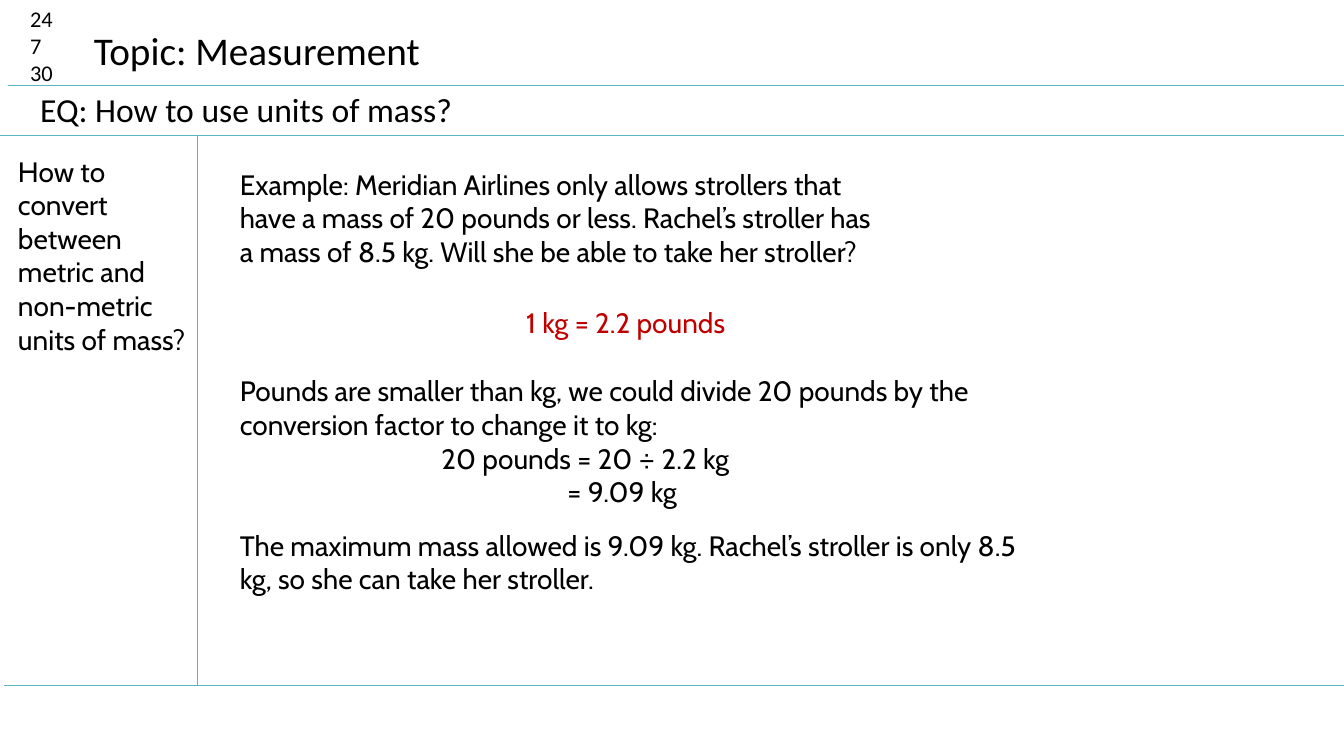
from pptx import Presentation
from pptx.util import Inches, Pt
from pptx.dml.color import RGBColor
from pptx.enum.shapes import MSO_CONNECTOR as Conn
from pptx.enum.text import MSO_ANCHOR as Anchor, MSO_AUTO_SIZE as Fit, PP_ALIGN as Align
from lxml.etree import SubElement
from pptx.oxml.ns import qn

BLACK = RGBColor(0, 0, 0)
RED = RGBColor(0xC0, 0, 0)
TEAL = RGBColor(0x58, 0xB6, 0xC0)

WIDE, HIGH = 13.33, 7.5
TOP, MID, BASE, SPLIT = 0.85, 1.34, 6.8, 1.96
LEFT = 2.28

TITLE = ("Topic: Measurement", (0.83, 0.21, 3.47, 0.57))

HEADS = [
    (["24", "7", "30"], (0.2, 0, 0.63, 0.91), 16),
    (["EQ: How to use units of mass?"], (0.3, 0.83, 11.64, 0.5), 24),
]

NOTES = [
    (["How to convert between metric and non-metric units of mass?"],
     (0.08, 1.48, 1.98, 2.12), BLACK),
    (["Example: Meridian Airlines only allows strollers that have a mass of "
      "20 pounds or less. Rachel’s stroller has a mass of 8.5 kg. "
      "Will she be able to take her stroller?"],
     (LEFT, 1.61, 6.55, 1.11), BLACK),
    (["1 kg = 2.2 pounds"], (5.12, 2.98, 5.25, 0.44), RED),
    (["Pounds are smaller than kg, we could divide 20 pounds by the "
      "conversion factor to change it to kg:",
      "20 pounds = 20 ÷ 2.2 kg",
      "= 9.09 kg"],
     (LEFT, 3.66, 8.08, 1.45), BLACK),
    (["The maximum mass allowed is 9.09 kg. Rachel’s stroller is only "
      "8.5 kg, so she can take her stroller."],
     (LEFT, 5.19, 8.08, 0.77), BLACK),
]

INDENTS = {"20 pounds = 20 ÷ 2.2 kg": 2, "= 9.09 kg": 3.25}

RULES = [
    (0.08, TOP, WIDE, TOP),
    (0, MID, WIDE, MID),
    (0.04, BASE, WIDE, BASE),
    (SPLIT, MID, SPLIT, BASE),
]


def write(frame, lines, size, face, color):
    frame.text = "\n".join(lines)
    frame.auto_size = Fit.NONE
    frame.vertical_anchor = Anchor.TOP
    for para in frame.paragraphs:
        para.alignment = Align.LEFT
        if para.text in INDENTS:
            props = para._p.get_or_add_pPr()
            props.set("marL", str(Inches(INDENTS[para.text])))
        for run in para.runs:
            run.font.size = Pt(size)
            run.font.name = face
            run.font.color.rgb = color


def add_text(slide, lines, place, size, face, color):
    box = slide.shapes.add_textbox(*map(Inches, place))
    box.text_frame.word_wrap = True
    write(box.text_frame, lines, size, face, color)


def add_rule(slide, ends):
    rule = slide.shapes.add_connector(Conn.STRAIGHT, *map(Inches, ends))
    rule.line.color.rgb = TEAL
    rule.line.width = Pt(0.75)
    SubElement(rule._element.spPr, qn("a:effectLst"))


def main():
    deck = Presentation()
    deck.slide_width, deck.slide_height = Inches(WIDE), Inches(HIGH)
    slide = deck.slides.add_slide(deck.slide_layouts[5])

    for ends in RULES:
        add_rule(slide, ends)

    text, place = TITLE
    title = slide.shapes.title
    title.left, title.top, title.width, title.height = map(Inches, place)
    write(title.text_frame, [text], 28, "Calibri", BLACK)
    title.text_frame.word_wrap = False

    for lines, place, size in HEADS:
        add_text(slide, lines, place, size, "Calibri", BLACK)
    for lines, place, color in NOTES:
        add_text(slide, lines, place, 20, "Cabin", color)

    deck.save("out.pptx")


if __name__ == "__main__":
    main()
